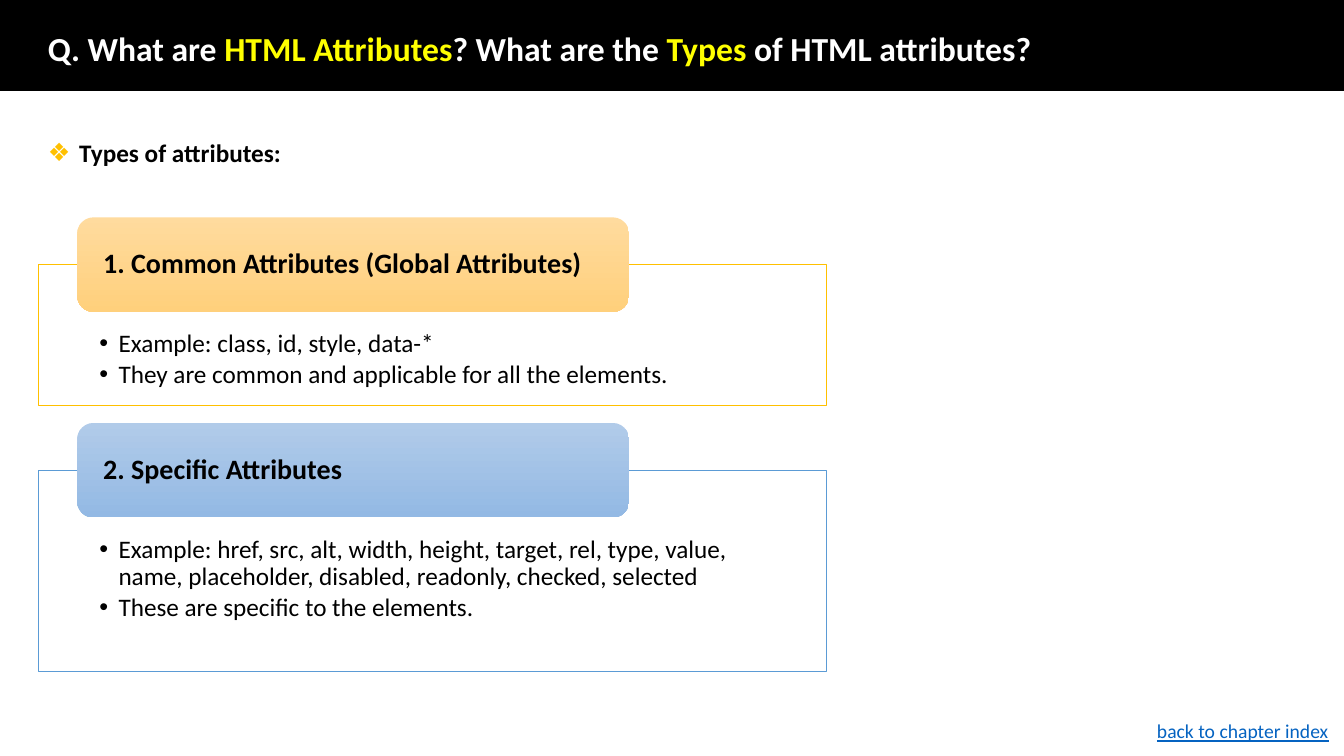
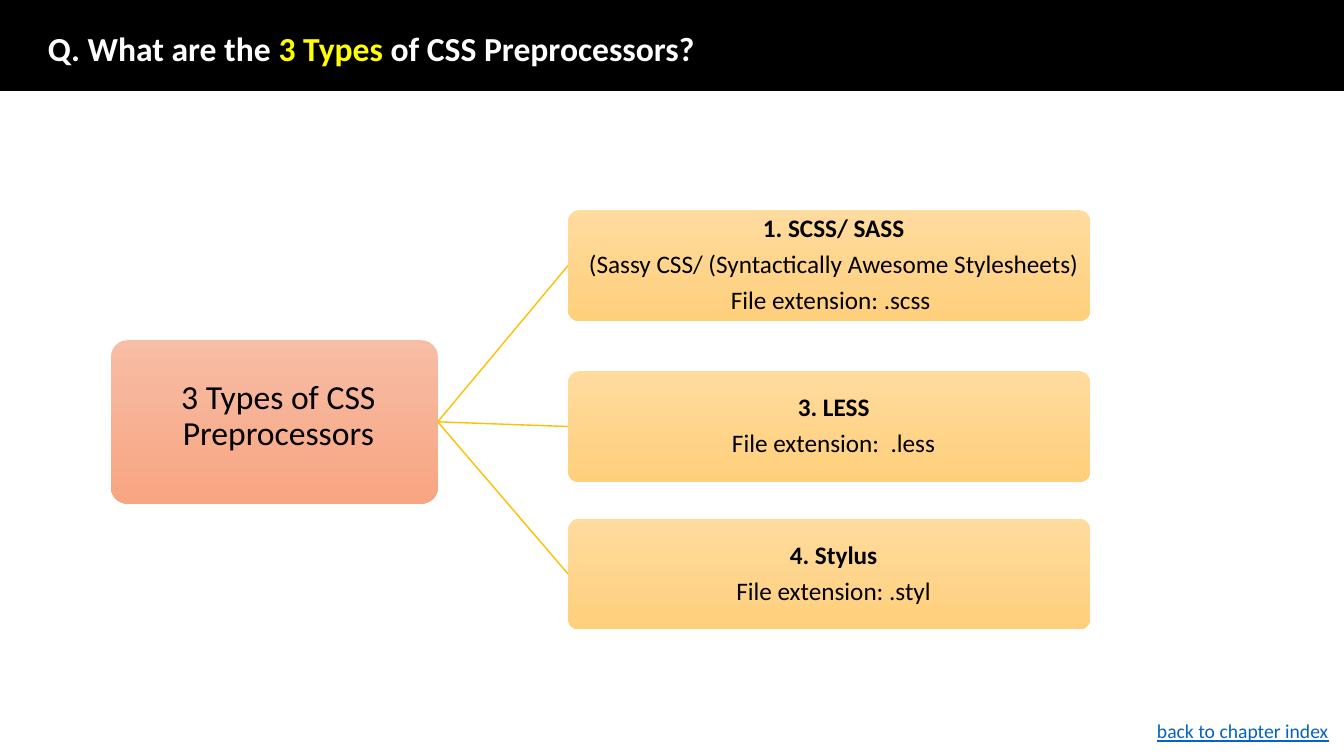
from lxml.etree import SubElement
from pptx import Presentation
from pptx.dml.color import RGBColor
from pptx.enum.shapes import MSO_CONNECTOR, MSO_SHAPE
from pptx.enum.text import MSO_ANCHOR, MSO_AUTO_SIZE, PP_ALIGN
from pptx.oxml.ns import qn
from pptx.util import Inches, Pt

FONT = "Calibri"
BLACK = RGBColor(0x00, 0x00, 0x00)
WHITE = RGBColor(0xFF, 0xFF, 0xFF)
YELLOW = RGBColor(0xFF, 0xFF, 0x00)
GOLD = RGBColor(0xFF, 0xC0, 0x00)
BLUE = RGBColor(0x5B, 0x9B, 0xD5)
LINK = RGBColor(0x05, 0x63, 0xC1)
GOLD_FADE = RGBColor(0xFF, 0xDB, 0x9E), RGBColor(0xFF, 0xD0, 0x7C)
BLUE_FADE = RGBColor(0xB1, 0xCB, 0xE9), RGBColor(0x93, 0xB9, 0xE4)
CORAL_FADE = RGBColor(0xF7, 0xBD, 0xA5), RGBColor(0xF8, 0xA5, 0x82)

prs = Presentation()
prs.slide_width, prs.slide_height = Inches(13.33), Inches(7.5)
LEFT = 2.82  # left margin, in percent of the slide width


def grid(x, y, w, h):
    """Turn percentages of the slide's width and height into lengths."""
    col, row = prs.slide_width / 100, prs.slide_height / 100
    return int(x * col), int(y * row), int(w * col), int(h * row)


def add_panel(s, area, fade, insets, radius):
    """Add a rounded panel with a top-to-bottom fade and centred anchor."""
    sp = s.shapes.add_shape(MSO_SHAPE.ROUNDED_RECTANGLE, *grid(*area))
    sp.shadow.inherit = False
    sp.adjustments[0] = radius
    sp.line.fill.background()
    sp.fill.gradient()
    sp.fill.gradient_angle = 270
    for stop, color in zip(sp.fill.gradient_stops, fade):
        stop.color.rgb = color
    tf = sp.text_frame
    tf.word_wrap = True
    tf.vertical_anchor = MSO_ANCHOR.MIDDLE
    tf.margin_left, tf.margin_top, tf.margin_right, tf.margin_bottom = map(Inches, insets)
    return sp


# Shared frame: band, title and index label. Odd title runs are highlighted.
titles = [
    (1, ["Q. What are ", "HTML Attributes", "? What are the ", "Types",
         " of HTML attributes?"]),
    (5, ["Q. What are the ", "3 Types", " of CSS Preprocessors?"]),
]
for layout, runs in titles:
    s = prs.slides.add_slide(prs.slide_layouts[layout])
    band = s.shapes.add_shape(MSO_SHAPE.RECTANGLE, *grid(0, -0.1, 100, 12.1))
    band.shadow.inherit = False
    band.fill.solid()
    band.fill.fore_color.rgb = BLACK
    band.line.color.rgb = BLACK
    band.line.width = Pt(1)
    s.shapes.title.element.addprevious(band.element)

    title = s.shapes.title
    title.left, title.top, title.width, title.height = grid(LEFT, 2.5, 86.3, 8.4)
    tf = title.text_frame
    tf.auto_size = MSO_AUTO_SIZE.NONE
    tf.vertical_anchor = MSO_ANCHOR.MIDDLE
    p = tf.paragraphs[0]
    p.alignment = PP_ALIGN.LEFT
    p.line_spacing = 0.9
    for i, text in enumerate(runs):
        r = p.add_run()
        r.text = text
        r.font.name, r.font.size, r.font.bold = FONT, Pt(24), True
        r.font.color.rgb = YELLOW if i % 2 else WHITE

    label = s.shapes.add_textbox(*grid(85.35, 94.5, 14.65, 4.5))
    label.text_frame.word_wrap = True
    r = label.text_frame.paragraphs[0].add_run()
    r.text = "back to chapter index"
    r.font.name, r.font.size, r.font.underline = FONT, Pt(14), True
    r.font.color.rgb = LINK

attributes, preprocessors = prs.slides

# Slide 1: attribute types
s = attributes
body = s.placeholders[1]
body.left, body.top, body.width, body.height = grid(LEFT, 17.5, 65.6, 5.3)
body.text_frame.auto_size = MSO_AUTO_SIZE.NONE
p = body.text_frame.paragraphs[0]
p.space_before = Pt(0)
r = p.add_run()
r.text = "Types of attributes:"
r.font.name, r.font.size, r.font.bold = FONT, Pt(18), True
r.font.color.rgb = BLACK
bulleted = [(p, "❖", GOLD, 0.31)]

sections = [
    ("1. Common Attributes (Global Attributes)", GOLD, GOLD_FADE, 18.65,
     ["Example: class, id, style, data-*",
      "They are common and applicable for all the elements."]),
    ("2. Specific Attributes", BLUE, BLUE_FADE, 26.6,
     ["Example: href, src, alt, width, height, target, rel, type, value, "
      "name, placeholder, disabled, readonly, checked, selected",
      "These are specific to the elements."]),
]
TAB_H, SECTION_GAP = 12.5, 2.3
top = 28.75
for heading, color, fade, height, items in sections:
    frame_top = top + TAB_H / 2
    frame = s.shapes.add_shape(MSO_SHAPE.RECTANGLE, *grid(LEFT, frame_top, 58.65, height))
    frame.shadow.inherit = False
    frame.fill.solid()
    frame.fill.fore_color.rgb = WHITE
    frame.line.color.rgb = color
    frame.line.width = Pt(0.5)
    tf = frame.text_frame
    tf.word_wrap = True
    tf.vertical_anchor = MSO_ANCHOR.TOP
    tf.margin_left = tf.margin_right = Inches(0.61)
    tf.margin_top, tf.margin_bottom = Inches(0.66), Inches(0.14)
    for i, item in enumerate(items):
        p = tf.add_paragraph() if i else tf.paragraphs[0]
        p.alignment = PP_ALIGN.LEFT
        p.line_spacing = 0.9
        p.space_after = Pt(2.7)
        r = p.add_run()
        r.text = item
        r.font.name, r.font.size = FONT, Pt(18)
        r.font.color.rgb = BLACK
        bulleted.append((p, "•", BLACK, 0.19))

    tab = add_panel(s, (5.75, top, 41.05, TAB_H), fade, (0.21, 0, 0.21, 0), 0.17)
    p = tab.text_frame.paragraphs[0]
    p.alignment = PP_ALIGN.LEFT
    p.line_spacing = 0.9
    r = p.add_run()
    r.text = heading
    r.font.name, r.font.size, r.font.bold = FONT, Pt(20), True
    r.font.color.rgb = BLACK
    top = frame_top + height + SECTION_GAP

for p, char, color, indent in bulleted:
    pPr = p._p.get_or_add_pPr()
    pPr.set("marL", str(Inches(indent)))
    pPr.set("indent", str(-Inches(indent)))
    SubElement(SubElement(pPr, qn("a:buClr")), qn("a:srgbClr"), val=str(color))
    SubElement(pPr, qn("a:buFont"), typeface="Arial")
    SubElement(pPr, qn("a:buChar"), char=char)

# Slide 2: preprocessor tree
s = preprocessors
root = add_panel(s, (8.27, 45, 24.3, 21.6), CORAL_FADE, (0.1, 0, 0.02, 0.1), 0.1)
p = root.text_frame.paragraphs[0]
p.alignment = PP_ALIGN.CENTER
p.line_spacing = 0.9
r = p.add_run()
r.text = "3 Types of CSS Preprocessors"
r.font.name, r.font.size = FONT, Pt(24)
r.font.color.rgb = BLACK

cards = [
    (27.8, ["1. SCSS/ SASS", "(Sassy CSS/ (Syntactically Awesome Stylesheets)",
            "File extension: .scss "]),
    (49.1, ["3. LESS", "File extension:  .less"]),
    (68.6, ["4. Stylus", "File extension: .styl"]),
]
for top, lines in cards:
    card = add_panel(s, (42.27, top, 38.85, 14.65), GOLD_FADE, (0.1, 0.01, 0.01, 0.01), 0.1)
    tf = card.text_frame
    for i, line in enumerate(lines):
        p = tf.add_paragraph() if i else tf.paragraphs[0]
        p.alignment = PP_ALIGN.CENTER
        p.line_spacing = 0.9
        p.space_after = Pt(6.3)
        r = p.add_run()
        r.text = line
        r.font.name, r.font.size, r.font.bold = FONT, Pt(18), i == 0
        r.font.color.rgb = BLACK

    branch = s.shapes.add_connector(MSO_CONNECTOR.STRAIGHT, 0, 0, 0, 0)
    branch.begin_connect(root, 3)
    branch.end_connect(card, 1)
    branch.line.color.rgb = GOLD
    branch.line.width = Pt(1)
    SubElement(branch.element.spPr, qn("a:effectLst"))

prs.save("out.pptx")
